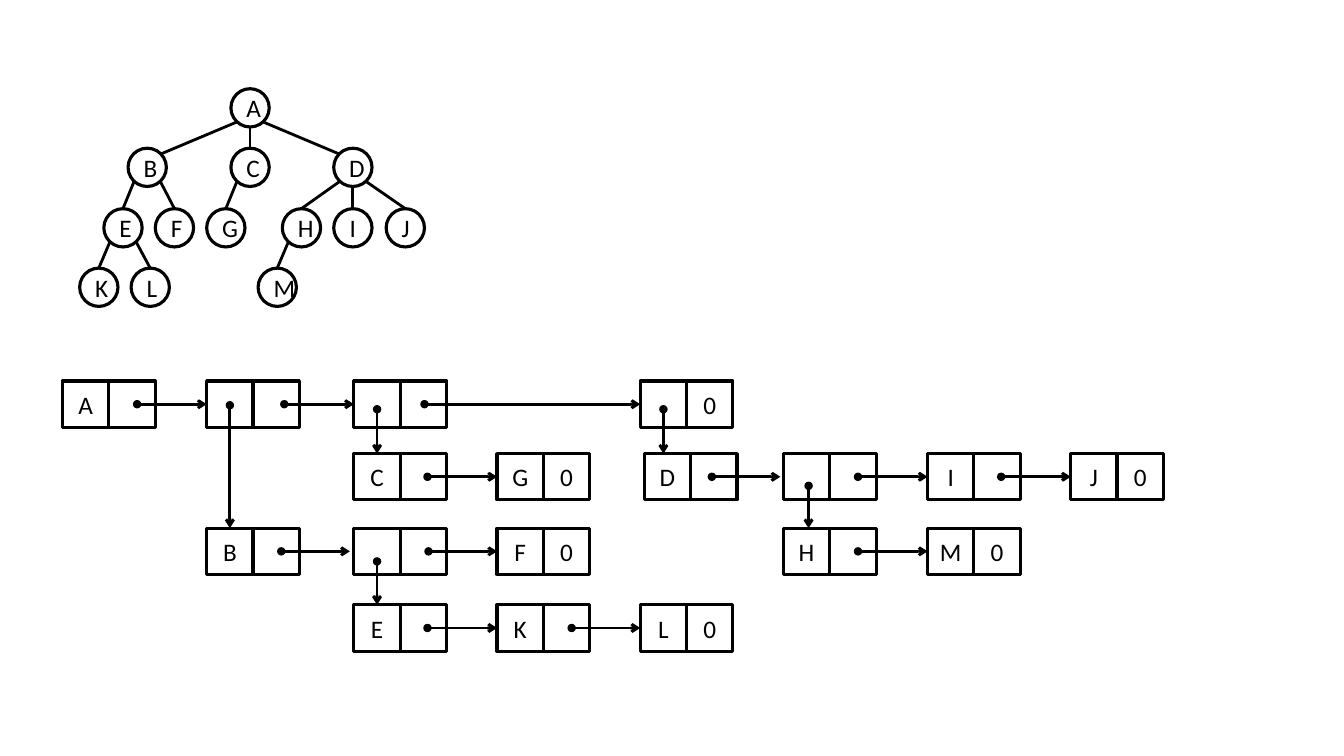
"""Builds a slide with a tree and its linked-list representation."""
from lxml.etree import SubElement
from pptx import Presentation
from pptx.dml.color import RGBColor
from pptx.enum.shapes import MSO_CONNECTOR, MSO_SHAPE
from pptx.enum.text import PP_ALIGN
from pptx.oxml.ns import qn
from pptx.util import Pt

PX = 9144
NODE = 38
CELL = 46
COLORS = {"ink": "000000", "paper": "FFFFFF"}
INK = RGBColor.from_string(COLORS["ink"])
PAPER = RGBColor.from_string(COLORS["paper"])
FONT = {"name": "Calibri", "size": Pt(18)}


def add_box(shapes, kind, left, top, size, label):
    shape = shapes.add_shape(kind, left * PX, top * PX, size * PX, size * PX)
    shape.shadow.inherit = False
    shape.fill.solid()
    shape.fill.fore_color.rgb = PAPER
    shape.line.color.rgb = INK
    shape.line.width = Pt(2.25)
    if label:
        paragraph = shape.text_frame.paragraphs[0]
        paragraph.alignment = PP_ALIGN.CENTER
        run = paragraph.add_run()
        run.text = label
        for name, value in FONT.items():
            setattr(run.font, name, value)
        run.font.color.rgb = INK
    return shape


def add_line(shapes, begin, end, arrow=False):
    points = [value * PX for value in (*begin, *end)]
    connector = shapes.add_connector(MSO_CONNECTOR.STRAIGHT, *points)
    connector.line.color.rgb = INK
    connector.line.width = Pt(2)
    if arrow:
        line = connector.line._get_or_add_ln()
        SubElement(line, qn("a:headEnd"), type="oval")
        SubElement(line, qn("a:tailEnd"), type="arrow")
    SubElement(connector._element.spPr, qn("a:effectLst"))
    return connector


presentation = Presentation()
presentation.slide_width = 1333 * PX
presentation.slide_height = 750 * PX
slide = presentation.slides.add_slide(presentation.slide_layouts[6])

tree_levels = [
    (266, {"K": 79, "L": 130, "M": 256}),
    (207, {"E": 103, "F": 154, "G": 205, "H": 280, "I": 331, "J": 383}),
    (147, {"B": 127, "C": 229, "D": 331}),
    (88, {"A": 229}),
]
tree = slide.shapes.add_group_shape()
nodes = {}
for top, row in tree_levels:
    for label, left in row.items():
        add_box(tree.shapes, MSO_SHAPE.OVAL, left, top, NODE, label)
        nodes[label] = (left, top)

rim = {
    "top": (19, 0), "top left": (6, 6), "top right": (32, 6),
    "bottom": (19, 38), "bottom left": (6, 33), "bottom right": (32, 33),
}
branches = [
    ("AC", "bottom", "top"), ("AD", "bottom right", "top left"),
    ("AB", "bottom left", "top right"), ("BE", "bottom left", "top"),
    ("BF", "bottom right", "top"), ("EK", "bottom left", "top"),
    ("EL", "bottom right", "top"), ("CG", "bottom left", "top"),
    ("DH", "bottom left", "top"), ("DJ", "bottom right", "top"),
    ("DI", "bottom", "top"), ("HM", "bottom left", "top"),
]
for (parent, child), leaving, arriving in branches:
    begin = [a + b for a, b in zip(nodes[parent], rim[leaving])]
    end = [a + b for a, b in zip(nodes[child], rim[arriving])]
    add_line(tree.shapes, begin, end)

list_rows = {
    378: [("A", 62, "A", ""), ("to B", 205, "", ""),
          ("to C", 351, "", ""), ("to D", 635, "", "0")],
    450: [("C", 351, "C", ""), ("G", 493, "G", "0"), ("D", 639, "D", ""),
          ("to H", 777, "", ""), ("I", 920, "I", ""), ("J", 1062, "J", "0")],
    524: [("B", 205, "B", ""), ("to E", 351, "", ""), ("F", 493, "F", "0"),
          ("H", 777, "H", ""), ("M", 920, "M", "0")],
    600: [("E", 351, "E", ""), ("K", 493, "K", ""), ("L", 635, "L", "0")],
}
records = {}
for top, row in list_rows.items():
    for name, left, data, link in row:
        record = slide.shapes.add_group_shape()
        records[name] = add_box(record.shapes, MSO_SHAPE.RECTANGLE, left, top, CELL, data)
        add_box(record.shapes, MSO_SHAPE.RECTANGLE, left + CELL, top, CELL, link)

TOP, LEFT = 0, 1
joined_arrows = [
    (136, 401, "to B", LEFT), (282, 401, "to C", LEFT), (421, 401, "to D", LEFT),
    (424, 473, "G", LEFT), (851, 473, "I", LEFT), (993, 473, "J", LEFT),
    (425, 547, "F", LEFT), (851, 547, "M", LEFT),
    (424, 623, "K", LEFT), (567, 623, "L", LEFT),
    (228, 402, "B", TOP), (374, 406, "C", TOP), (374, 557, "E", TOP),
]
for x, y, target, side in joined_arrows:
    arrow = add_line(slide.shapes, (x, y), (x, y), arrow=True)
    arrow.end_connect(records[target], side)

free_arrows = [
    ((658, 406), (658, 450)), ((802, 482), (802, 524)),
    ((279, 547), (347, 547)), ((706, 473), (774, 473)),
]
for begin, end in free_arrows:
    add_line(slide.shapes, begin, end, arrow=True)

presentation.save("out.pptx")
